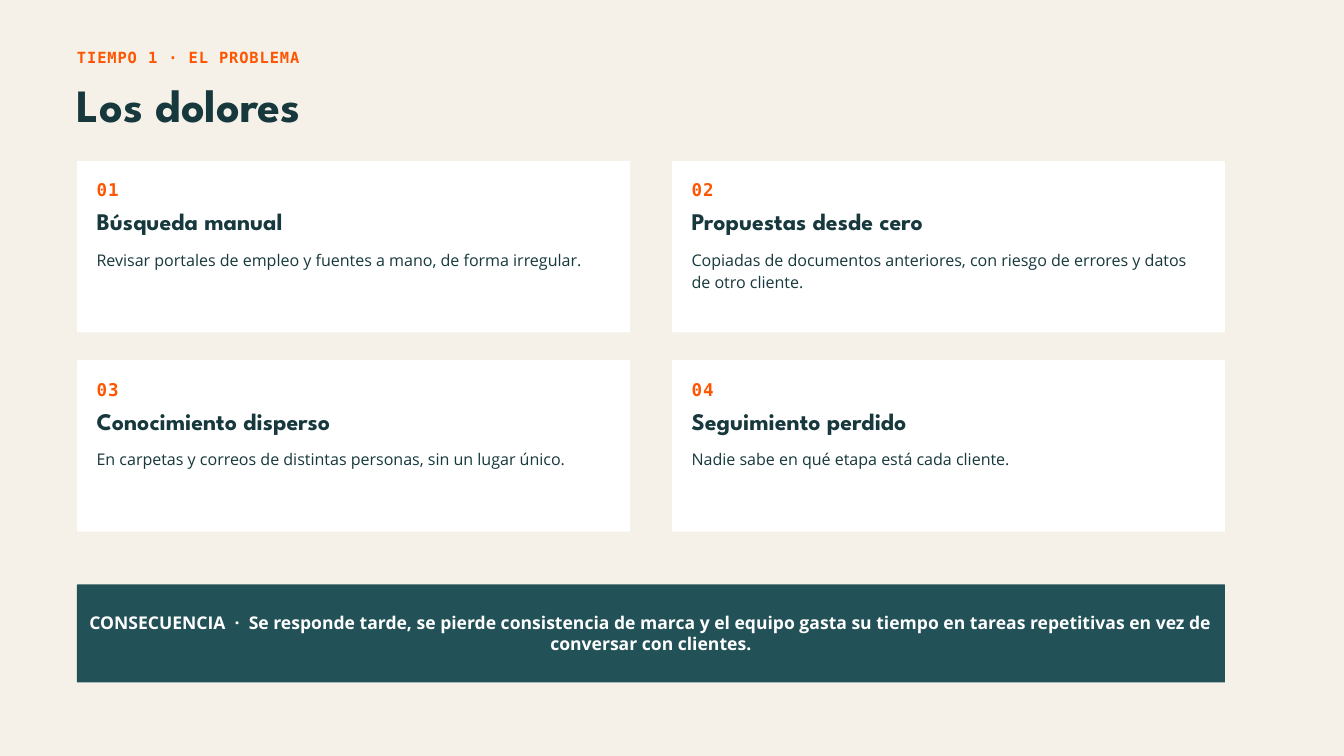
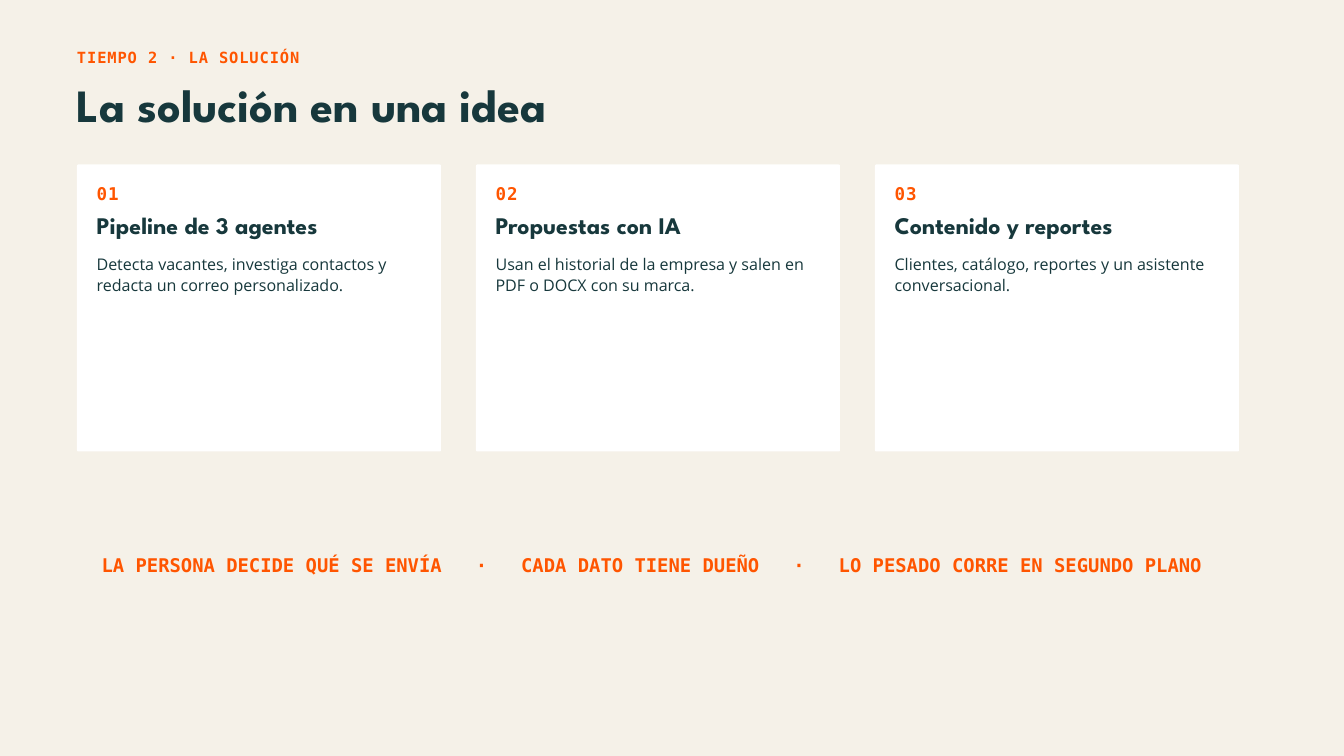
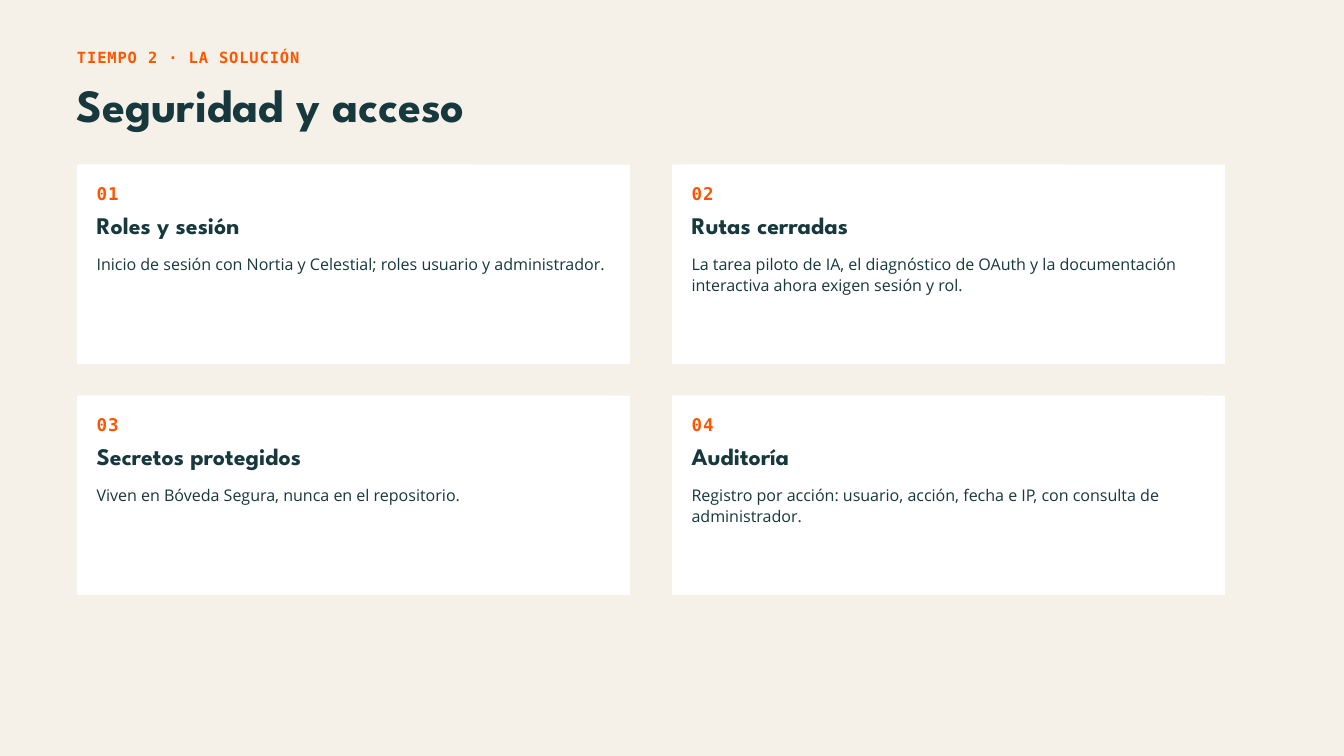
from dataclasses import dataclass

from pptx import Presentation
from pptx.dml.color import RGBColor
from pptx.enum.shapes import MSO_SHAPE
from pptx.enum.text import MSO_ANCHOR, MSO_AUTO_SIZE, PP_ALIGN
from pptx.util import Pt

ROUND = MSO_SHAPE.ROUNDED_RECTANGLE
TOP, MIDDLE = MSO_ANCHOR.TOP, MSO_ANCHOR.MIDDLE
FIT, FIXED = MSO_AUTO_SIZE.SHAPE_TO_FIT_TEXT, MSO_AUTO_SIZE.NONE
LEFT, CENTER = PP_ALIGN.LEFT, PP_ALIGN.CENTER

COLORS = {
    "cream": "F5F1E8",
    "orange": "FF5500",
    "ink": "17383C",
    "teal": "225258",
    "white": "FFFFFF",
}
MONO, HEAD, BODY = "DejaVu Sans Mono", "League Spartan", "Open Sans"
EDGE = 82.5
WIDE = 1230
PAD = 21


@dataclass(frozen=True)
class Style:
    font: str
    size: float
    line: float
    color: str
    bold: bool = True
    track: int = 0  # hundredths of a point
    align: PP_ALIGN = LEFT


KICKER = Style(MONO, 16.5, 23.1, "orange", track=100)
TITLE = Style(HEAD, 49.5, 50.5, "ink")
NUMBER = Style(MONO, 18.8, 26.2, "orange", track=110)
NAME = Style(HEAD, 25.5, 26, "ink")
DETAIL = Style(BODY, 17.2, 23.3, "ink", bold=False)
RESULT = Style(BODY, 18.8, 21.6, "white", align=CENTER)
MOTTO = Style(MONO, 20.2, 28.4, "orange", align=CENTER)


@dataclass(frozen=True)
class Box:
    x: float
    y: float
    w: float
    h: float


@dataclass(frozen=True)
class Card:
    name: str
    detail: str
    rows: int = 1


@dataclass(frozen=True)
class Grid:
    cols: int
    first: Box
    gap_x: float
    gap_y: float = 0


def color(key: str) -> RGBColor:
    return RGBColor.from_string(COLORS[key])


def write(shape, text: str, style: Style, inset: float = 0,
          anchor: MSO_ANCHOR = TOP, size: MSO_AUTO_SIZE = FIT) -> None:
    frame = shape.text_frame
    frame.text = text
    frame.word_wrap = True
    frame.auto_size = size
    frame.vertical_anchor = anchor
    frame.margin_left = frame.margin_right = Pt(inset)
    frame.margin_top = frame.margin_bottom = Pt(inset)
    for para in frame.paragraphs:
        para.alignment = style.align
        para.line_spacing = Pt(style.line)
        for run in para.runs:
            font = run.font
            font.name, font.size, font.bold = style.font, Pt(style.size), style.bold
            font.color.rgb = color(style.color)
            if style.track:
                run._r.get_or_add_rPr().set("spc", str(style.track))


def place(box: Box) -> tuple:
    return Pt(box.x), Pt(box.y), Pt(box.w), Pt(box.h)


def label(shapes, box: Box, text: str, style: Style) -> None:
    write(shapes.add_textbox(*place(box)), text, style)


def panel(shapes, box: Box, fill: str, radius: float):
    shape = shapes.add_shape(ROUND, *place(box))
    shape.adjustments[0] = radius / min(box.w, box.h)
    shape.shadow.inherit = False
    shape.fill.solid()
    shape.fill.fore_color.rgb = color(fill)
    shape.line.fill.background()
    return shape


def start(prs, kicker: str, title: str):
    """Add a slide with its kicker line and title."""
    slide = prs.slides.add_slide(prs.slide_layouts[5])
    head = slide.shapes.title
    head.left, head.top, head.width, head.height = place(Box(EDGE, 90.75, 1200, 52.5))
    write(head, title, TITLE, size=FIXED)
    label(slide.shapes, Box(EDGE, 48, 1125, 22.5), kicker, KICKER)
    return slide


def draw_cards(slide, grid: Grid, cards: list[Card]) -> None:
    first = grid.first
    for i, card in enumerate(cards):
        row, col = divmod(i, grid.cols)
        x = first.x + col * (first.w + grid.gap_x)
        y = first.y + row * (first.h + grid.gap_y)
        shapes = slide.shapes.add_group_shape().shapes
        panel(shapes, Box(x, y, first.w, first.h), "white", 1.5)
        left, inner = x + PAD, first.w - 2 * PAD
        label(shapes, Box(left, y + 16, 67.5, 24.5), f"{i + 1:02}", NUMBER)
        label(shapes, Box(left, y + 54, inner, 28), card.name, NAME)
        label(shapes, Box(left, y + 93.25, inner, 22.5 * card.rows), card.detail, DETAIL)


def pains(prs) -> None:
    slide = start(prs, "TIEMPO 1 · EL PROBLEMA", "Los dolores")
    draw_cards(slide, Grid(2, Box(EDGE, 172.5, 592.5, 183.75), 45, 29.75), [
        Card("Búsqueda manual",
             "Revisar portales de empleo y fuentes a mano, de forma irregular."),
        Card("Propuestas desde cero",
             "Copiadas de documentos anteriores, con riesgo de errores y datos "
             "de otro cliente.", 2),
        Card("Conocimiento disperso",
             "En carpetas y correos de distintas personas, sin un lugar único."),
        Card("Seguimiento perdido", "Nadie sabe en qué etapa está cada cliente."),
    ])
    band = panel(slide.shapes, Box(EDGE, 626.25, WIDE, 105), "teal", 0.5)
    write(band, "CONSECUENCIA  ·  Se responde tarde, se pierde consistencia de marca "
          "y el equipo gasta su tiempo en tareas repetitivas en vez de "
          "conversar con clientes.", RESULT, 4.5, MIDDLE, FIXED)


def idea(prs) -> None:
    slide = start(prs, "TIEMPO 2 · LA SOLUCIÓN", "La solución en una idea")
    draw_cards(slide, Grid(3, Box(EDGE, 176.25, 390, 307.5), 37.5), [
        Card("Pipeline de 3 agentes",
             "Detecta vacantes, investiga contactos y redacta un correo personalizado.", 2),
        Card("Propuestas con IA",
             "Usan el historial de la empresa y salen en PDF o DOCX con su marca.", 2),
        Card("Contenido y reportes",
             "Clientes, catálogo, reportes y un asistente conversacional.", 2),
    ])
    label(slide.shapes, Box(EDGE, 589, WIDE, 27.5),
          "LA PERSONA DECIDE QUÉ SE ENVÍA   ·   CADA DATO TIENE DUEÑO   ·   "
          "LO PESADO CORRE EN SEGUNDO PLANO", MOTTO)


def safety(prs) -> None:
    slide = start(prs, "TIEMPO 2 · LA SOLUCIÓN", "Seguridad y acceso")
    draw_cards(slide, Grid(2, Box(EDGE, 176.25, 592.5, 213.75), 45, 33.75), [
        Card("Roles y sesión",
             "Inicio de sesión con Nortia y Celestial; roles usuario y administrador.", 2),
        Card("Rutas cerradas",
             "La tarea piloto de IA, el diagnóstico de OAuth y la documentación "
             "interactiva ahora exigen sesión y rol.", 2),
        Card("Secretos protegidos", "Viven en Bóveda Segura, nunca en el repositorio."),
        Card("Auditoría",
             "Registro por acción: usuario, acción, fecha e IP, con consulta de "
             "administrador.", 2),
    ])


def main() -> None:
    prs = Presentation()
    prs.slide_width, prs.slide_height = Pt(1440), Pt(810)
    back = prs.slide_master.background.fill
    back.solid()
    back.fore_color.rgb = color("cream")
    for build in (pains, idea, safety):
        build(prs)
    prs.save("out.pptx")


if __name__ == "__main__":
    main()
